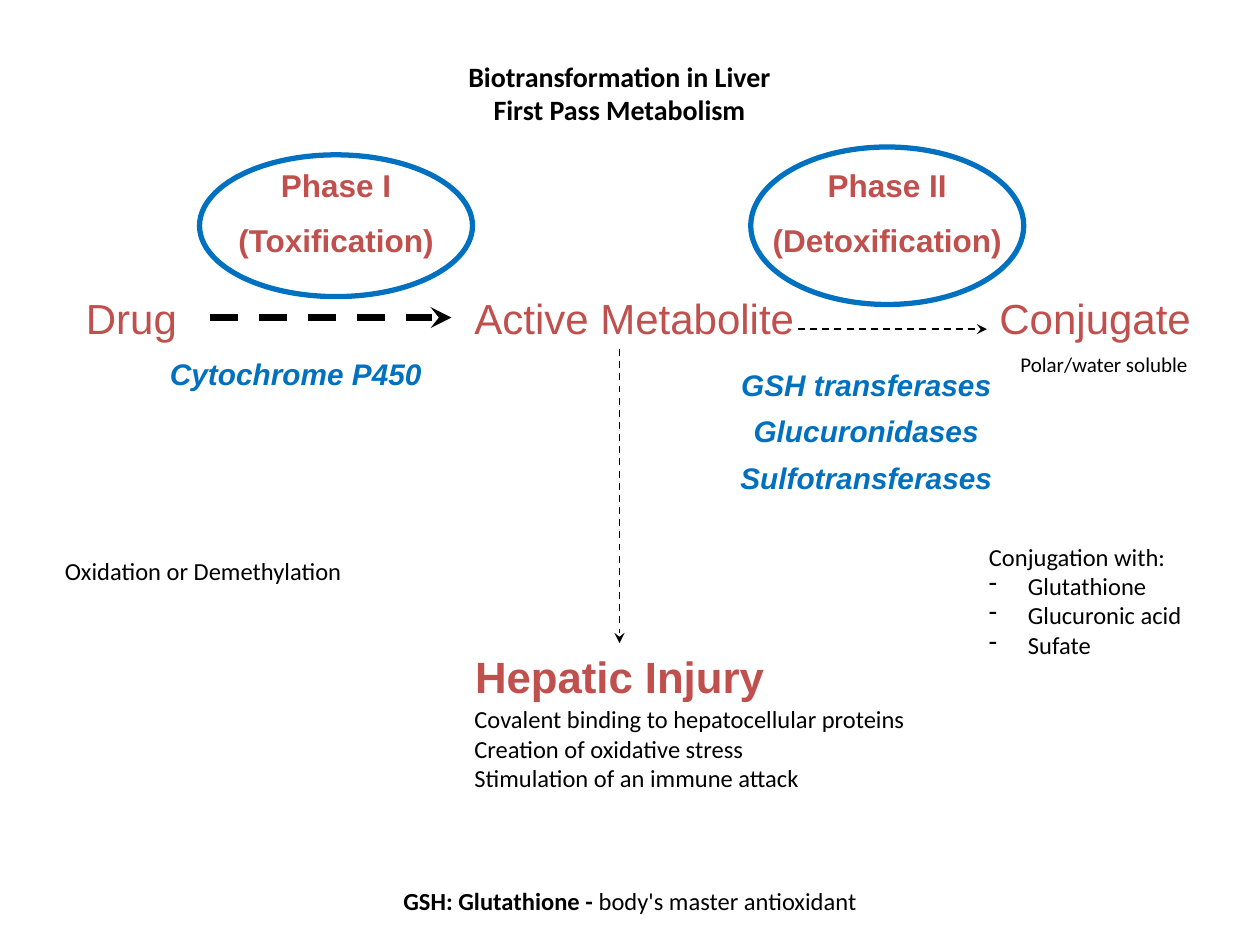
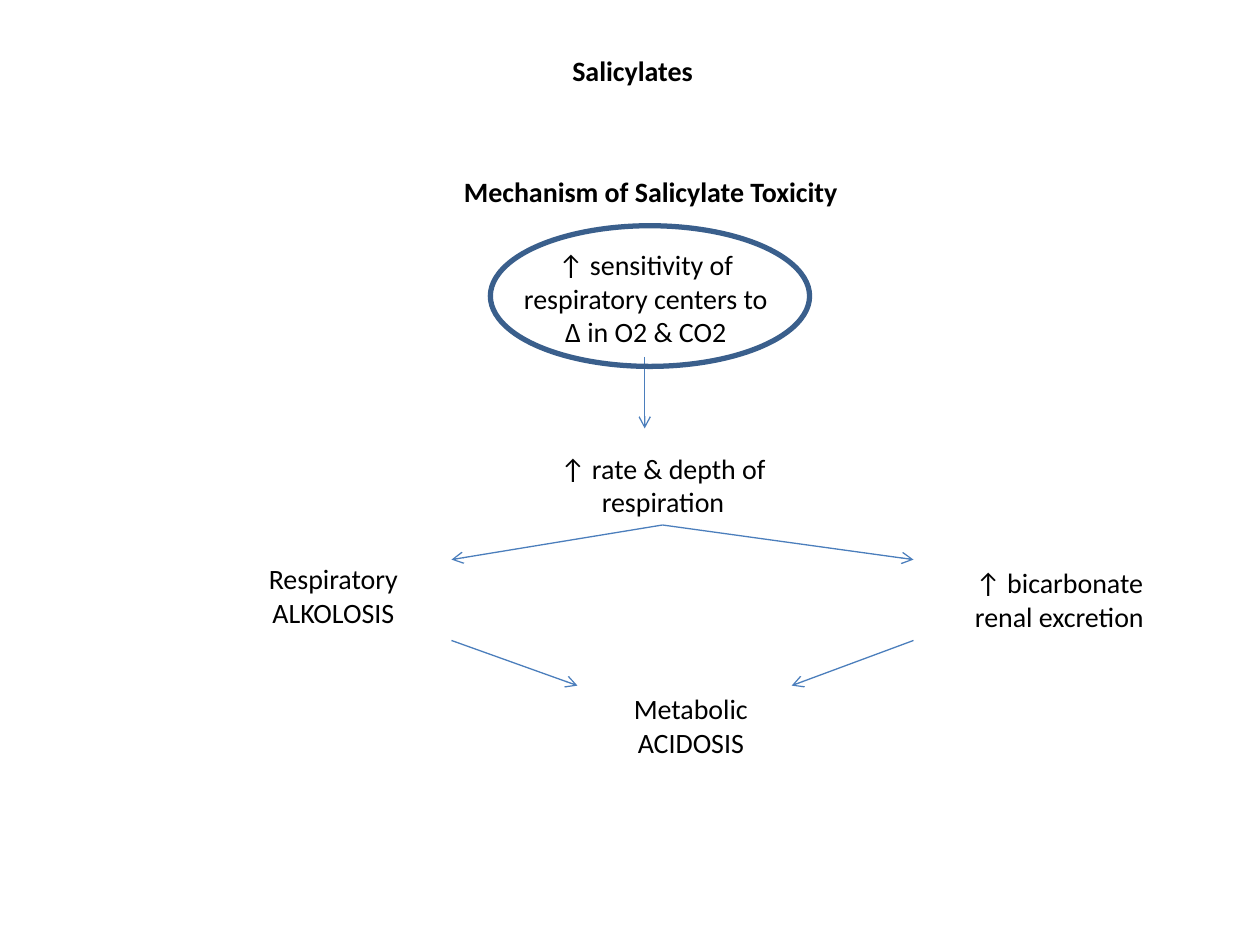
from collections import namedtuple
from lxml.etree import SubElement
from pptx import Presentation
from pptx.dml.color import RGBColor
from pptx.enum.dml import MSO_LINE_DASH_STYLE as Dash
from pptx.enum.shapes import MSO_CONNECTOR as Connector, MSO_SHAPE as Preset
from pptx.enum.text import MSO_ANCHOR as Anchor, PP_ALIGN as Align
from pptx.oxml.ns import qn
from pptx.util import Inches, Pt

COLORS = {"text": "000000", "substance": "C0504D", "enzyme": "0070C0",
          "flow": "4B7EBC", "outline": "3A5F8C"}
COLUMNS, ROWS = 120, 90
WIDTH, HEIGHT = Inches(10), Inches(7.5)
SUBSTANCE = dict(font="Arial", size=24, tone="substance", align=Align.LEFT)
PHASE = dict(font="Arial", size=18, tone="substance", bold=True, gap=9.5)
ENZYME = dict(font="Arial", size=17, tone="enzyme", bold=True, italic=True, gap=6)
NOTE = dict(size=14, align=Align.LEFT)


class Box(namedtuple("Box", "left top width height")):
    def inner(self, left, top, width, height):
        return Box(self.left + left, self.top + top, width, height)

    def point(self, column, row):
        return self.left + column, self.top + row


def across(columns):
    return round(WIDTH * columns / COLUMNS)


def down(rows):
    return round(HEIGHT * rows / ROWS)


def extent(box):
    return across(box.left), down(box.top), across(box.width), down(box.height)


def color(tone):
    return RGBColor.from_string(COLORS[tone])


def add_dash_bullet(paragraph):
    properties = paragraph._p.get_or_add_pPr()
    properties.set("marL", str(Inches(0.31)))
    properties.set("indent", str(-Inches(0.31)))
    SubElement(properties, qn("a:buChar")).set("char", "-")


def add_text(slide, box, text, font="Calibri", size=16, tone="text", bold=False,
             italic=False, align=Align.CENTER, gap=0, anchor=Anchor.TOP,
             bullets_from=None, lead=""):
    frame = slide.shapes.add_textbox(*extent(box)).text_frame
    frame.word_wrap = True
    frame.vertical_anchor = anchor
    for index, line in enumerate(text.split("\n")):
        paragraph = frame.paragraphs[0] if index == 0 else frame.add_paragraph()
        paragraph.alignment = align
        if index and gap:
            paragraph.space_before = Pt(gap)
        if bullets_from is not None and index >= bullets_from:
            add_dash_bullet(paragraph)
        pieces = [(lead, True)] if lead and index == 0 else []
        for content, is_bold in pieces + [(line, bold)]:
            run = paragraph.add_run()
            run.text = content
            run.font.name, run.font.size = font, Pt(size)
            run.font.bold, run.font.italic = is_bold, italic
            run.font.color.rgb = color(tone)


def add_oval(slide, box, tone):
    shape = slide.shapes.add_shape(Preset.OVAL, *extent(box))
    shape.shadow.inherit = False
    shape.fill.background()
    shape.line.color.rgb = color(tone)
    shape.line.width = Pt(3)


def add_arrow(slide, start, end, tone="text", width=1.0, dashed=True, head="stealth"):
    connector = slide.shapes.add_connector(
        Connector.STRAIGHT, across(start[0]), down(start[1]), across(end[0]), down(end[1]))
    connector.line.color.rgb = color(tone)
    connector.line.width = Pt(width)
    if dashed:
        connector.line.dash_style = Dash.DASH
    properties = connector._element.spPr
    SubElement(properties.find(qn("a:ln")), qn("a:tailEnd")).set("type", head)
    SubElement(properties, qn("a:effectLst"))


def add_title(slide, box, text):
    add_text(slide, box, text, bold=True, anchor=Anchor.MIDDLE)


def add_phase(slide, box, text, label):
    add_oval(slide, box, "enzyme")
    add_text(slide, box.inner(*label), text, **PHASE)


def add_pathway(slide, box):
    for text, left, width in (("Drug", 0, 18), ("Active Metabolite", 37, 33),
                              ("Conjugate", 87, 24)):
        add_text(slide, box.inner(left, 0, width, box.height), text, **SUBSTANCE)
    add_arrow(slide, box.point(13, 3), box.point(36, 3), width=4)
    add_arrow(slide, box.point(69, 4.1), box.point(87, 4.1))
    add_arrow(slide, box.point(52, 6), box.point(52, 34))
    add_text(slide, box.inner(8, 6, 31, 4.8), "Cytochrome P450",
             **ENZYME | {"align": Align.LEFT})
    add_text(slide, box.inner(56, 7.1, 39, 13.5),
             "GSH transferases\nGlucuronidases\nSulfotransferases", **ENZYME)
    add_text(slide, box.inner(89, 5.65, 20, 3.6), "Polar/water soluble",
             size=12, align=Align.LEFT)


def add_injury(slide, box):
    add_text(slide, box.inner(0, 0, 44, 6.2), "Hepatic Injury", **PHASE | {"size": 25})
    add_text(slide, box.inner(7, 5.2, 48, 9.7),
             "Covalent binding to hepatocellular proteins\n"
             "Creation of oxidative stress\nStimulation of an immune attack", **NOTE)


def add_reactions(slide, box):
    add_text(slide, box.inner(0, 1.4, 30, 4), "Oxidation or Demethylation", **NOTE)
    add_text(slide, box.inner(88, 0, 21, 12.5),
             "Conjugation with:\nGlutathione\nGlucuronic acid\nSufate",
             bullets_from=1, **NOTE)


def add_mechanism(slide, box):
    add_text(slide, box.inner(19, 0, 39, 4.4), "Mechanism of Salicylate Toxicity",
             bold=True, align=Align.LEFT)
    for text, left, top, width, height in (
            ("↑ sensitivity of respiratory centers to ∆ in O2 & CO2", 24, 7, 27, 11),
            ("↑ rate & depth of respiration", 26.9, 26.4, 24.5, 7.7),
            ("Respiratory ALKOLOSIS", 0, 36.9, 15.5, 7.7),
            ("↑ bicarbonate renal excretion", 66.7, 37.3, 20.4, 7.7),
            ("Metabolic ACIDOSIS", 34.2, 49.3, 15.2, 7.7)):
        add_text(slide, box.inner(left, top, width, height), text)
    center, left_end, right_end = 39.1, 19, 63
    for start, end in (((37.4, 18), (37.4, 24.8)),
                       ((center, 34), (left_end, 37.3)),
                       ((center, 34), (right_end, 37.3)),
                       ((left_end, 45), (31, 49.3)),
                       ((right_end, 45), (51.4, 49.3))):
        add_arrow(slide, box.point(*start), box.point(*end), "flow",
                  width=0.75, dashed=False, head="arrow")
    add_oval(slide, box.inner(22.7, 5.5, 30.4, 13.4), "outline")


def build_biotransformation(slide):
    add_title(slide, Box(43, 5, 32, 7.7), "Biotransformation in Liver\nFirst Pass Metabolism")
    add_pathway(slide, Box(7, 27.25, 111, 6))
    add_phase(slide, Box(19, 14.75, 26, 13.5), "Phase I\n(Toxification)",
              (-6, 0.5, 38, 10.3))
    add_phase(slide, Box(71.5, 14, 26, 15), "Phase II\n(Detoxification)",
              (-4.5, 1.25, 35, 10.3))
    add_injury(slide, Box(37, 61.3, 55, 15))
    add_reactions(slide, Box(5, 51, 109, 12.5))
    add_text(slide, Box(35, 83.75, 50, 4), "body's master antioxidant",
             size=14, lead="GSH: Glutathione - ")


def build_salicylates(slide):
    add_title(slide, Box(51, 3, 18.5, 7.4), "Salicylates")
    add_mechanism(slide, Box(24, 16, 87, 57))


def main():
    presentation = Presentation()
    presentation.slide_width, presentation.slide_height = WIDTH, HEIGHT
    for build in (build_biotransformation, build_salicylates):
        build(presentation.slides.add_slide(presentation.slide_layouts[6]))
    presentation.save("out.pptx")


if __name__ == "__main__":
    main()
